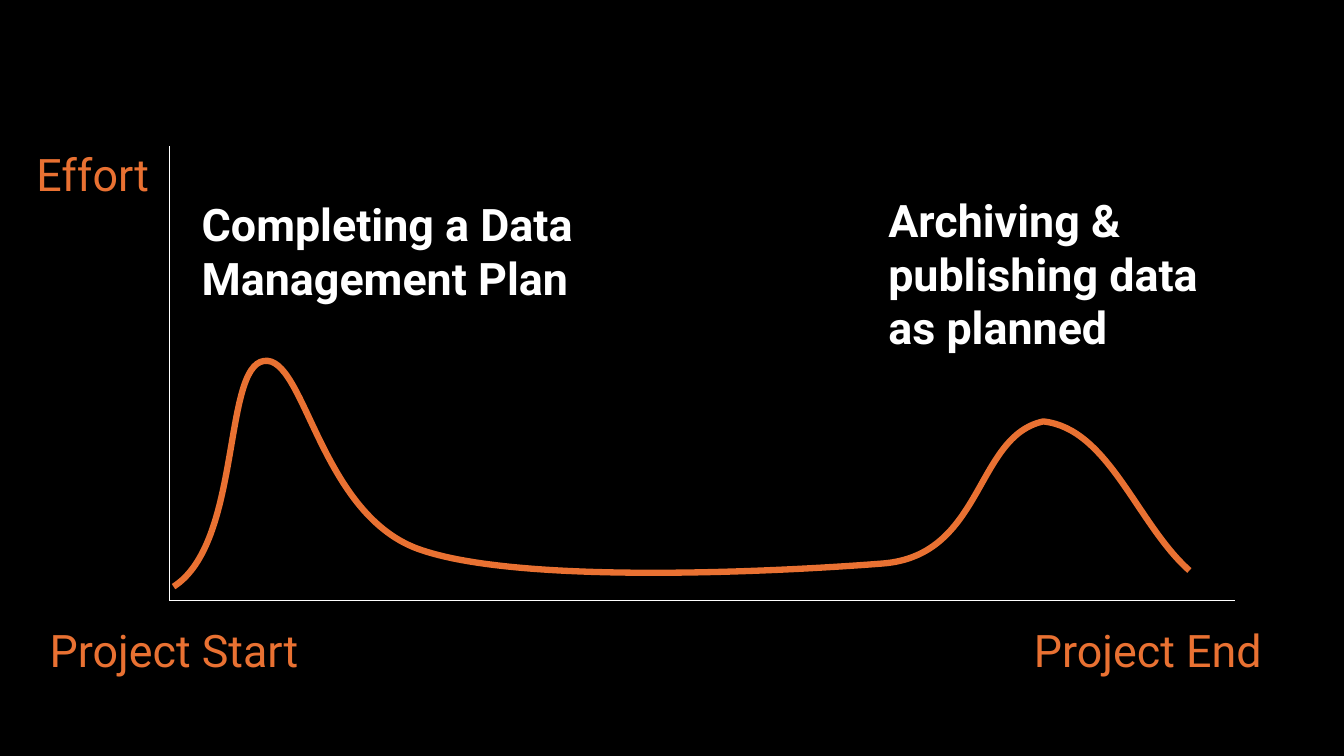
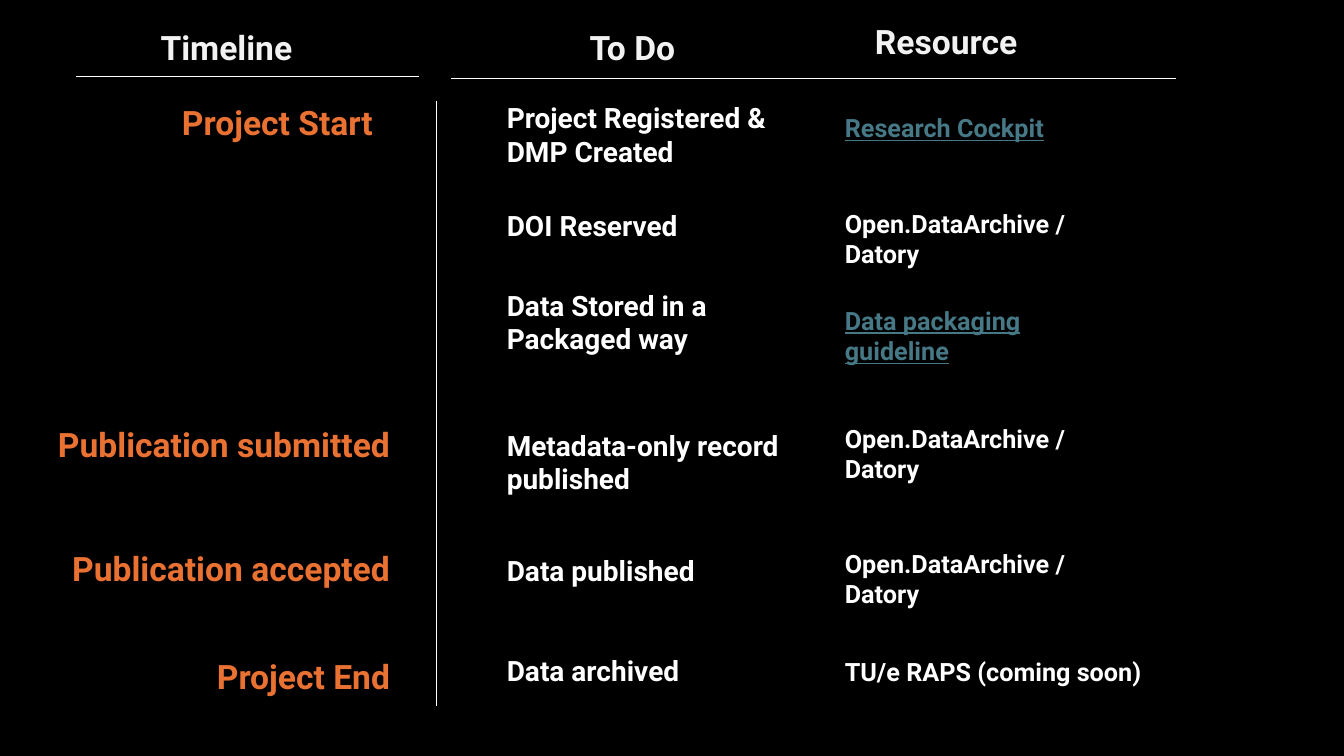
from dataclasses import dataclass
from typing import NamedTuple

from lxml import etree
from pptx import Presentation
from pptx.dml.color import RGBColor
from pptx.enum.text import MSO_ANCHOR as Anchor, PP_ALIGN as Align
from pptx.enum.shapes import MSO_CONNECTOR as Connector
from pptx.oxml.ns import qn
from pptx.util import Pt

# Shared look
BLACK = RGBColor(0x00, 0x00, 0x00)
WHITE = RGBColor(0xFF, 0xFF, 0xFF)
OFF_WHITE = RGBColor(0xF2, 0xF2, 0xF2)
ORANGE = RGBColor(0xE9, 0x71, 0x32)
LINK_TEAL = RGBColor(0x46, 0x78, 0x86)
FONT = "Roboto"


@dataclass(frozen=True)
class TextStyle:
    size: float
    color: RGBColor
    bold: bool = True
    underline: bool = False
    align: Align = Align.LEFT


AXIS_LABEL = TextStyle(32, ORANGE, bold=False)
CALLOUT = TextStyle(32, WHITE)
HEADER = TextStyle(24, OFF_WHITE)
HEADER_CENTERED = TextStyle(24, OFF_WHITE, align=Align.CENTER)
MILESTONE = TextStyle(24, ORANGE, align=Align.RIGHT)
TASK = TextStyle(20, WHITE)
RESOURCE = TextStyle(18, WHITE)
RESOURCE_LINK = TextStyle(18, LINK_TEAL, underline=True)


class Label(NamedTuple):
    text: str
    left: float
    top: float
    width: float
    height: float
    style: TextStyle


class Rule(NamedTuple):
    x1: float
    y1: float
    x2: float
    y2: float


class Point(NamedTuple):
    x: float
    y: float


class Bend(NamedTuple):
    """Cubic curve piece: two control points and the end point."""
    control1: Point
    control2: Point
    end: Point


def add_label(slide, label: Label) -> None:
    box = slide.shapes.add_textbox(
        Pt(label.left), Pt(label.top), Pt(label.width), Pt(label.height))
    frame = box.text_frame
    frame.word_wrap = True
    frame.vertical_anchor = Anchor.TOP
    frame.margin_left = frame.margin_right = 0
    frame.margin_top = frame.margin_bottom = 0
    paragraph = frame.paragraphs[0]
    paragraph.alignment = label.style.align
    run = paragraph.add_run()
    run.text = label.text
    font = run.font
    font.name = FONT
    font.size = Pt(label.style.size)
    font.bold = label.style.bold
    font.underline = label.style.underline
    font.color.rgb = label.style.color


def add_rule(slide, rule: Rule) -> None:
    line = slide.shapes.add_connector(
        Connector.STRAIGHT, *(Pt(value) for value in rule))
    line.line.color.rgb = WHITE
    line.line.width = Pt(1)
    etree.SubElement(line._element.spPr, qn("a:effectLst"))


def add_curve(slide, start: Point, bends: list[Bend]) -> None:
    builder = slide.shapes.build_freeform(Pt(start.x), Pt(start.y))
    builder.add_line_segments(
        [(Pt(bend.end.x), Pt(bend.end.y)) for bend in bends], close=False)
    shape = builder.convert_to_shape()
    shape.shadow.inherit = False
    shape.fill.background()
    shape.line.color.rgb = ORANGE
    shape.line.width = Pt(4.5)
    # Turn each straight segment into a cubic curve
    segments = list(shape._element.iter(qn("a:lnTo")))
    for segment, bend in zip(segments, bends):
        cubic = etree.Element(qn("a:cubicBezTo"))
        for point in bend:
            etree.SubElement(cubic, qn("a:pt"),
                             x=str(Pt(point.x) - shape.left),
                             y=str(Pt(point.y) - shape.top))
        segment.getparent().replace(segment, cubic)


# Effort chart
ORIGIN = Point(121, 429)
AXES = [
    Rule(*ORIGIN, 882.5, ORIGIN.y),
    Rule(*ORIGIN, ORIGIN.x, 104.5),
]
EFFORT_START = Point(124, 419)
EFFORT_BENDS = [
    Bend(Point(172.8, 388), Point(159, 262), Point(188.6, 257.8)),
    Bend(Point(218.2, 253.4), Point(228.2, 369.4), Point(301.7, 393.1)),
    Bend(Point(375, 417.6), Point(558, 408.2), Point(630.7, 402.5)),
    Bend(Point(702.7, 396.7), Point(696.2, 311.8), Point(745.2, 301)),
    Bend(Point(792, 306), Point(812.2, 374.4), Point(849.6, 407.5)),
]
EFFORT_LABELS = [
    Label("Effort", 26, 104.5, 91, 36, AXIS_LABEL),
    Label("Project Start", 35.5, 445, 200, 36, AXIS_LABEL),
    Label("Project End", 738.5, 445, 200, 36, AXIS_LABEL),
    Label("Completing a Data Management Plan", 144, 140.5, 284, 102, CALLOUT),
    Label("Archiving & publishing data as planned", 634.5, 137.5, 257, 132,
          CALLOUT),
]

# Timeline columns
MILESTONE_WIDTH = 253
MILESTONE_RIGHT = 278.6
TASK_LEFT, TASK_WIDTH = 362, 216
RESOURCE_LEFT, RESOURCE_WIDTH = 603.5, 172
REPOSITORIES = "Open.DataArchive / Datory"

HEADERS = [
    Label("Timeline", 62, 19.5, 199.5, 36, HEADER_CENTERED),
    Label("To Do", 352, 19.5, 199.5, 36, HEADER_CENTERED),
    Label("Resource", 625, 15, 128, 36, HEADER),
]
TIMELINE_RULES = [
    Rule(312, 72.5, 312, 504.5),
    Rule(54.5, 54.7, 299.5, 54.7),
    Rule(322.5, 56, 840, 56),
]
# Text, top, right edge
MILESTONES = [
    ("Project Start", 72.5, 266.4),
    ("Publication submitted", 302.5, MILESTONE_RIGHT),
    ("Publication accepted", 391.5, MILESTONE_RIGHT),
    ("Project End", 468.5, MILESTONE_RIGHT),
]
# Text, top
TASKS = [
    ("Project Registered & DMP Created", 72),
    ("DOI Reserved", 149),
    ("Data Stored in a Packaged way", 206),
    ("Metadata-only record published", 306),
    ("Data published", 395.5),
    ("Data archived", 466.5),
]
# Text, top, width, style
RESOURCES = [
    ("Research Cockpit", 80.5, RESOURCE_WIDTH, RESOURCE_LINK),
    (REPOSITORIES, 149, RESOURCE_WIDTH, RESOURCE),
    ("Data packaging guideline", 218, RESOURCE_WIDTH, RESOURCE_LINK),
    (REPOSITORIES, 302.5, RESOURCE_WIDTH, RESOURCE),
    (REPOSITORIES, 391.5, RESOURCE_WIDTH, RESOURCE),
    ("TU/e RAPS (coming soon)", 468.5, 221, RESOURCE),
]


def build_effort_slide(slide) -> None:
    for axis in AXES:
        add_rule(slide, axis)
    add_curve(slide, EFFORT_START, EFFORT_BENDS)
    for label in EFFORT_LABELS:
        add_label(slide, label)


def build_timeline_slide(slide) -> None:
    for rule in TIMELINE_RULES:
        add_rule(slide, rule)
    labels = list(HEADERS)
    labels += [Label(text, right - MILESTONE_WIDTH, top, MILESTONE_WIDTH, 36,
                     MILESTONE) for text, top, right in MILESTONES]
    labels += [Label(text, TASK_LEFT, top, TASK_WIDTH, 48, TASK)
               for text, top in TASKS]
    labels += [Label(text, RESOURCE_LEFT, top, width, 44, style)
               for text, top, width, style in RESOURCES]
    for label in labels:
        add_label(slide, label)


def main() -> None:
    presentation = Presentation()
    presentation.slide_width = Pt(960)
    presentation.slide_height = Pt(540)
    background = presentation.slide_master.background.fill
    background.solid()
    background.fore_color.rgb = BLACK
    blank_layout = presentation.slide_layouts[6]
    for build_slide in (build_effort_slide, build_timeline_slide):
        build_slide(presentation.slides.add_slide(blank_layout))
    presentation.save("out.pptx")


if __name__ == "__main__":
    main()
